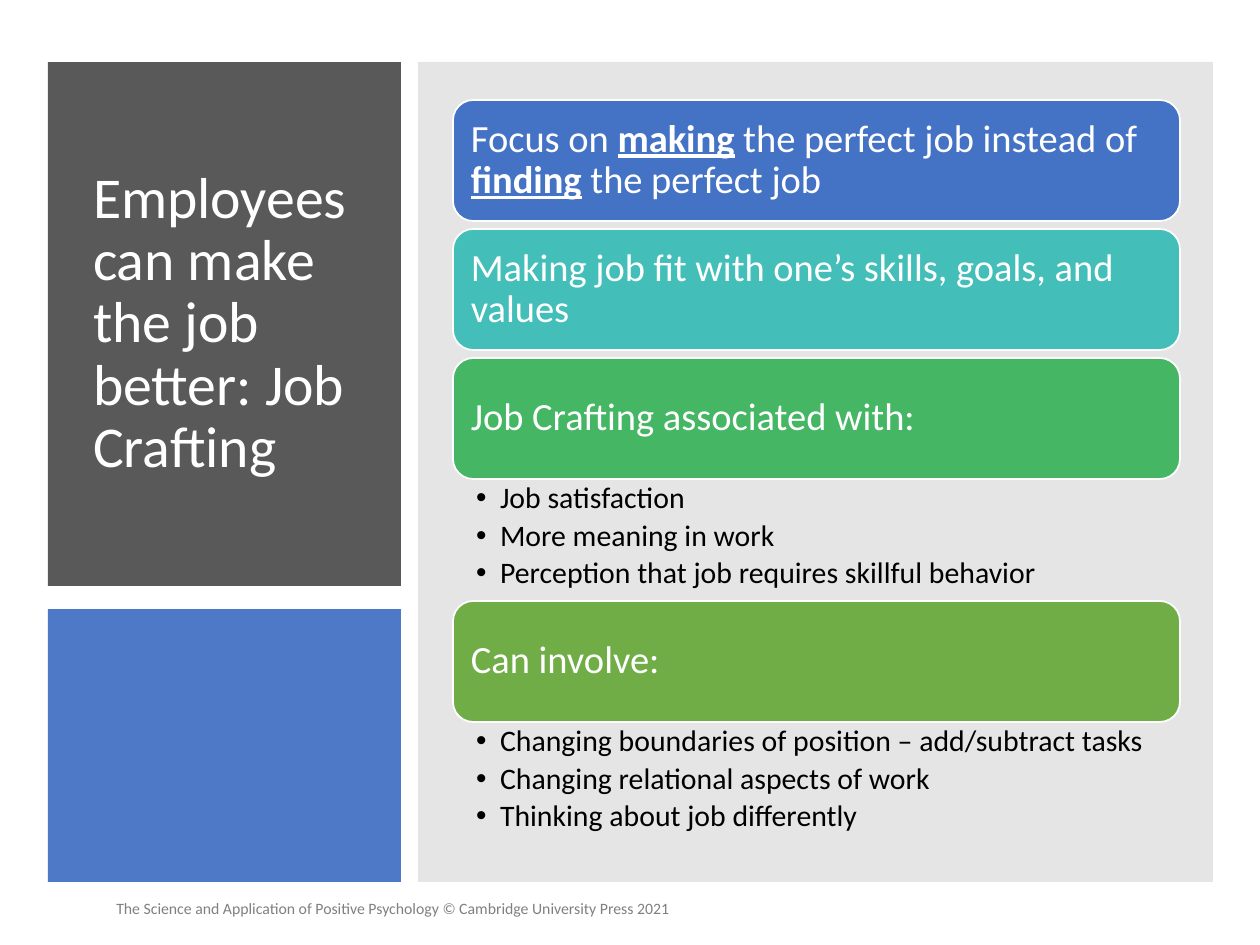
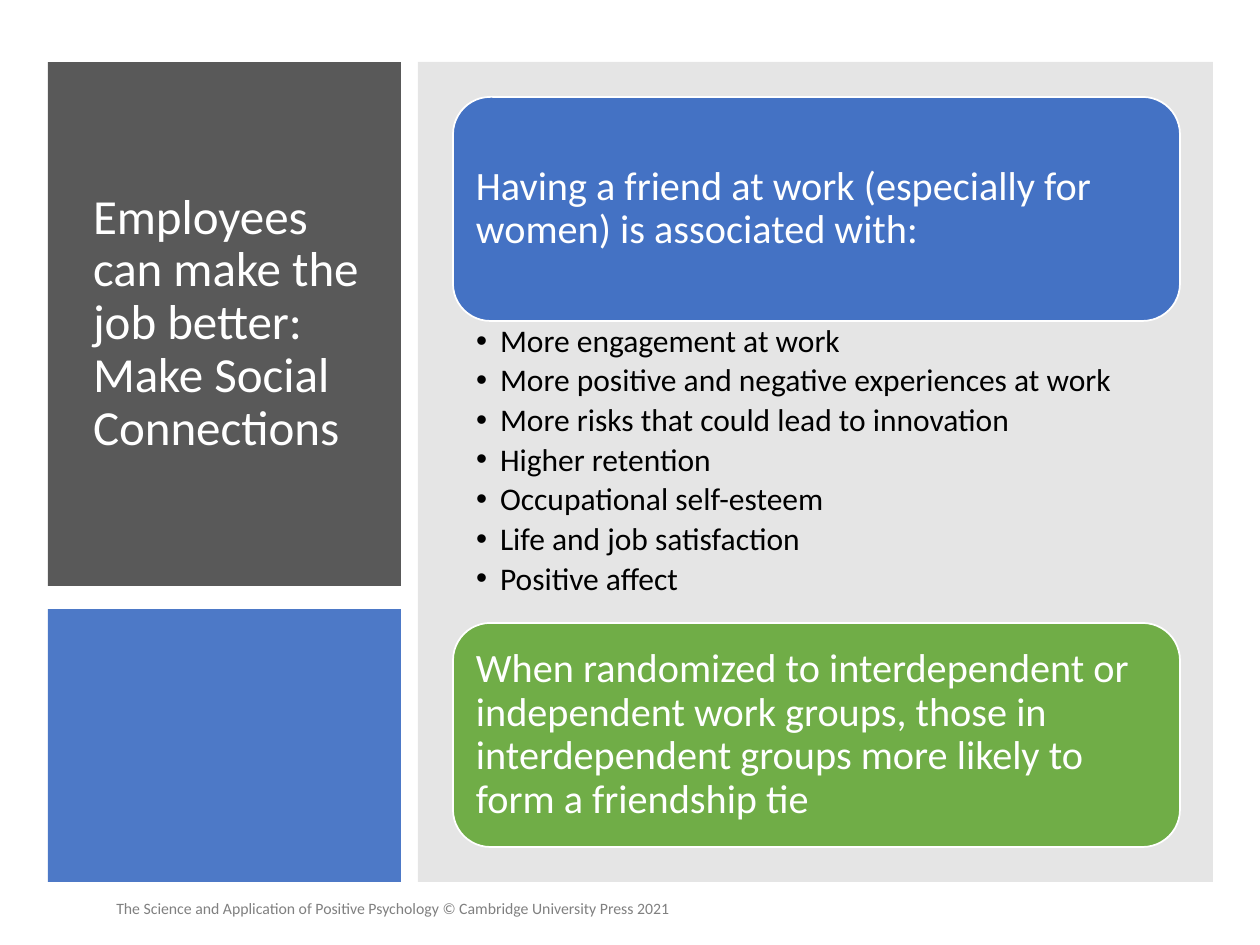
"""Build two slides on how employees can make the job better."""
from lxml.etree import SubElement
from pptx import Presentation
from pptx.dml.color import RGBColor
from pptx.enum.shapes import MSO_SHAPE as Shape
from pptx.enum.text import MSO_ANCHOR as Anchor, MSO_AUTO_SIZE as AutoSize, PP_ALIGN as Align
from pptx.oxml.ns import qn
from pptx.util import Emu, Pt

PX = 914400 / 126
FONT = "Calibri"
COLORS = {
    "white": "FFFFFF", "black": "000000", "charcoal": "595959", "gray": "808080",
    "blue": "4472C4", "teal": "43BEB9", "emerald": "45B664", "green": "70AD47",
}
FOOTER = "The Science and Application of Positive Psychology © Cambridge University Press 2021"
CARD_LEFT, CARD_WIDTH, CARD_GAP, CARD_INSET = 453, 727, 8, 12


def px(*lengths):
    """Turn px lengths into EMU."""
    return [Emu(round(length * PX)) for length in lengths]


def rgb(name):
    """Look up a colour by name."""
    return RGBColor.from_string(COLORS[name])


class Deck:
    """Hold the shared style and the current slide."""

    def __init__(self):
        """Start an empty deck."""
        self.show = Presentation()
        self.show.slide_width, self.show.slide_height = px(1260, 945)

    def start(self, heading, size):
        """Add a slide with its panels, title and footer."""
        self.slide = self.show.slides.add_slide(self.show.slide_layouts[5])
        self.panel((48, 62, 353, 524), "charcoal")
        self.heading(heading, size)
        self.panel((48, 609, 353, 273), "blue", 95)
        self.panel((418, 62, 795, 820), "gray", 20)
        self.footer()

    def panel(self, box, color, opacity=100, kind=Shape.RECTANGLE):
        """Draw a filled shape without outline or shadow."""
        panel = self.slide.shapes.add_shape(kind, *px(*box))
        panel.shadow.inherit = False
        panel.fill.solid()
        panel.fill.fore_color.rgb = rgb(color)
        panel.line.fill.background()
        if opacity < 100:
            tint = panel.element.spPr.find(qn("a:solidFill"))[0]
            SubElement(tint, qn("a:alpha"), val=str(opacity * 1000))
        return panel

    def frame(self, holder, insets=(13, 6, 13, 6), anchor=Anchor.MIDDLE):
        """Set wrapping, insets and anchor of a text frame."""
        frame = holder.text_frame
        frame.word_wrap = True
        frame.auto_size = AutoSize.NONE
        frame.vertical_anchor = anchor
        (frame.margin_left, frame.margin_top,
         frame.margin_right, frame.margin_bottom) = px(*insets)
        return frame

    def add_runs(self, paragraph, runs, size, color, align=Align.LEFT, spacing=0.9):
        """Add runs to a paragraph; every second run is emphasised."""
        paragraph.alignment = align
        paragraph.line_spacing = spacing
        for index, words in enumerate(runs):
            run = paragraph.add_run()
            run.text = words
            run.font.name = FONT
            run.font.size = Pt(size)
            run.font.color.rgb = rgb(color)
            if index % 2:
                run.font.bold = run.font.underline = True

    def heading(self, words, size):
        """Place the title on top of its panel."""
        title = self.slide.shapes.title
        self.slide.shapes.element.append(title.element)
        title.left, title.top, title.width, title.height = px(80, 101, 294, 446)
        self.add_runs(self.frame(title).paragraphs[0], [words], size, "white")

    def footer(self):
        """Add the copyright line."""
        footer = self.slide.shapes.add_textbox(*px(48, 883, 689, 51))
        self.add_runs(self.frame(footer).paragraphs[0], [FOOTER], 9, "gray", Align.CENTER, 1.0)

    def card(self, top, height, color, runs, size):
        """Draw a rounded card holding one statement."""
        card = self.panel((CARD_LEFT, top, CARD_WIDTH, height), color, kind=Shape.ROUNDED_RECTANGLE)
        card.line.color.rgb = rgb("white")
        card.line.width = Pt(1)
        statement = self.frame(card, [CARD_INSET] * 4).paragraphs[0]
        self.add_runs(statement, runs, size, "white")

    def bullets(self, top, height, points, size):
        """Add a bulleted list below a card."""
        box = self.slide.shapes.add_textbox(*px(CARD_LEFT, top, CARD_WIDTH, height))
        frame = self.frame(box, (23, 4, 22, 4), Anchor.TOP)
        hang = px(24)[0]
        for index, point in enumerate(points):
            paragraph = frame.add_paragraph() if index else frame.paragraphs[0]
            layout = paragraph._p.get_or_add_pPr()
            layout.set("marL", str(hang))
            layout.set("indent", str(-hang))
            SubElement(layout, qn("a:buFont"), typeface="Arial")
            SubElement(layout, qn("a:buChar"), char="•")
            self.add_runs(paragraph, [point], size, "black")
            paragraph.space_after = Pt(round(size * 0.18, 1))

    def stack(self, top, card_height, list_height, card_size, list_size, cards):
        """Stack cards, each with its list or a gap below."""
        for color, runs, points in cards:
            self.card(top, card_height, color, runs, card_size)
            top += card_height
            if points:
                self.bullets(top, list_height, points, list_size)
            top += list_height if points else CARD_GAP


def main():
    """Build and save the deck."""
    deck = Deck()
    deck.start("Employees can make the job better: Job Crafting", 33)
    deck.stack(100, 121, 122, 22, 17, [
        ("blue", ["Focus on ", "making", " the perfect job instead of ",
                  "finding", " the perfect job"], []),
        ("teal", ["Making job fit with one’s skills, goals, and values"], []),
        ("emerald", ["Job Crafting associated with:"], [
            "Job satisfaction",
            "More meaning in work",
            "Perception that job requires skillful behavior"]),
        ("green", ["Can involve:"], [
            "Changing boundaries of position – add/subtract tasks",
            "Changing relational aspects of work",
            "Thinking about job differently"]),
    ])
    deck.start("Employees can make the job better: Make Social Connections", 28)
    deck.stack(97, 224, 302, 23, 18, [
        ("blue", ["Having a friend at work (especially for women) is associated with:"], [
            "More engagement at work",
            "More positive and negative experiences at work",
            "More risks that could lead to innovation",
            "Higher retention",
            "Occupational self-esteem",
            "Life and job satisfaction",
            "Positive affect"]),
        ("green", ["When randomized to interdependent or independent work groups, those in "
                   "interdependent groups more likely to form a friendship tie"], []),
    ])
    deck.show.save("out.pptx")


if __name__ == "__main__":
    main()
